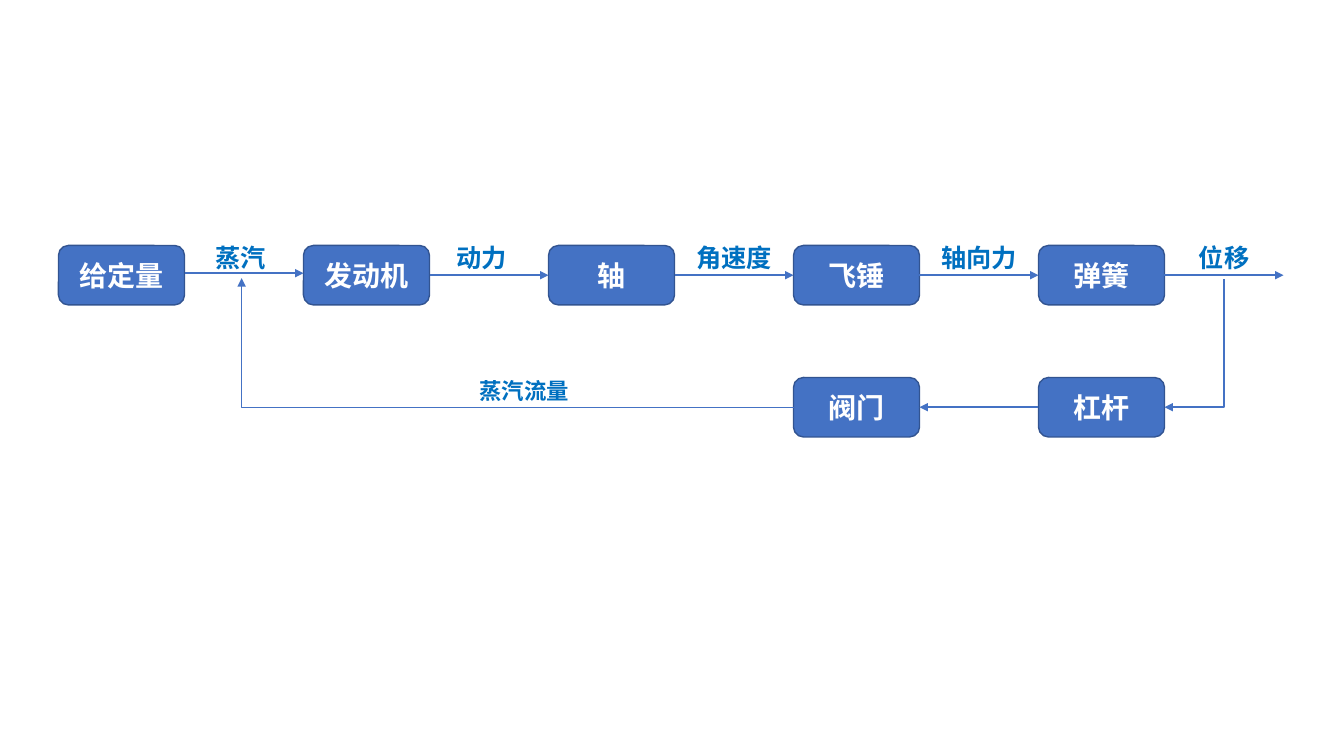
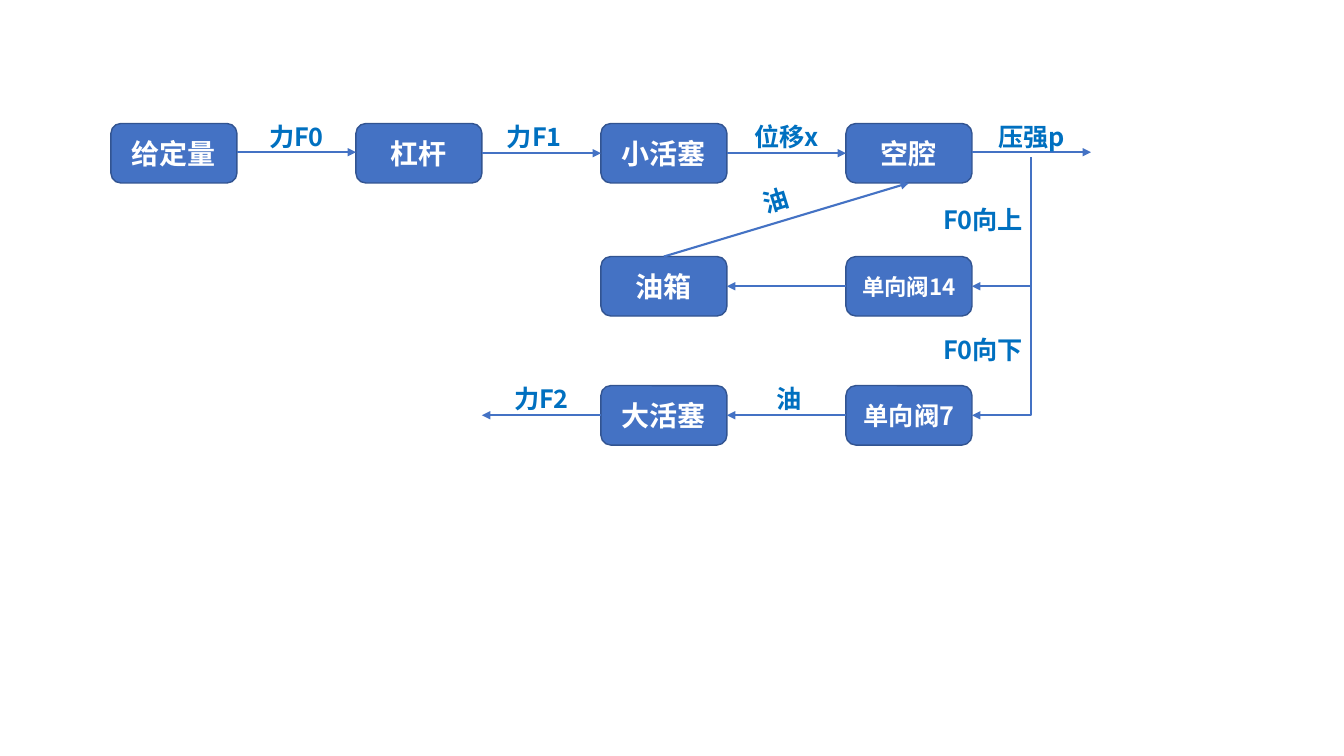
from dataclasses import dataclass, field

from pptx import Presentation
from pptx import util as u
from pptx.dml.color import RGBColor
from pptx.enum import shapes, text
from pptx.oxml.ns import qn
from lxml import etree

FONT = "Noto Sans CJK SC"
BLUE, EDGE, LABEL, WHITE = "4472C4", "325491", "0070C0", "FFFFFF"
BOX_W, BOX_H, GAP = 1.25, 0.59, 1.18
PITCH = BOX_W + GAP
LABEL_H, LABEL_RISE = 0.4, 0.37


@dataclass
class Box:
    text: str
    col: int
    row: int
    size: int = 20


@dataclass
class Label:
    text: str
    gap: int
    row: int
    dx: float = 0
    dy: float = -LABEL_RISE
    size: int = 18
    turn: float = 0


@dataclass
class Arrow:
    gap: int
    row: int
    back: bool = False
    dy: float = 0


@dataclass
class Link:
    start: tuple[float, float]
    end: tuple[float, float]
    turn: int | None = None
    weight: float = 1.5


@dataclass
class Grid:
    left: float
    rows: list[float]

    def box_x(self, col: int) -> float:
        return self.left + col * PITCH

    def gap_x(self, gap: int, share: float = 0) -> float:
        return self.box_x(gap) + BOX_W + share * GAP


@dataclass
class Diagram:
    grid: Grid
    boxes: list[Box]
    arrows: list[Arrow]
    labels: list[Label]
    links: list[Link] = field(default_factory=list)


def rgb(value: str) -> RGBColor:
    return RGBColor.from_string(value)


def write(sp, value: str, *, size: int, color: str, anchor) -> None:
    tf = sp.text_frame
    tf.word_wrap = True
    tf.vertical_anchor = anchor
    p = tf.paragraphs[0]
    p.alignment = text.PP_ALIGN.CENTER
    r = p.add_run()
    r.text = value
    r.font.name, r.font.size, r.font.bold = FONT, u.Pt(size), True
    r.font.color.rgb = rgb(color)
    etree.SubElement(r.font._element, qn("a:ea"), typeface=FONT)


def draw_box(s, grid: Grid, box: Box) -> None:
    sp = s.shapes.add_shape(
        shapes.MSO_SHAPE.ROUNDED_RECTANGLE,
        u.Inches(grid.box_x(box.col)), u.Inches(grid.rows[box.row] - BOX_H / 2),
        u.Inches(BOX_W), u.Inches(BOX_H))
    sp.shadow.inherit = False
    sp.fill.solid()
    sp.fill.fore_color.rgb = rgb(BLUE)
    sp.line.color.rgb = rgb(EDGE)
    sp.line.width = u.Pt(1)
    write(sp, box.text, size=box.size, color=WHITE, anchor=text.MSO_ANCHOR.MIDDLE)


def draw_label(s, grid: Grid, label: Label) -> None:
    sp = s.shapes.add_textbox(
        u.Inches(grid.gap_x(label.gap) + label.dx),
        u.Inches(grid.rows[label.row] + label.dy),
        u.Inches(GAP), u.Inches(LABEL_H))
    sp.rotation = label.turn
    write(sp, label.text, size=label.size, color=LABEL, anchor=text.MSO_ANCHOR.TOP)


def draw_link(s, link: Link) -> None:
    (x1, y1), (x2, y2) = link.start, link.end
    if link.turn is not None:
        cx, cy = (x1 + x2) / 2, (y1 + y2) / 2
        w, h = abs(x2 - x1), abs(y2 - y1)
        if link.turn % 180:
            w, h = h, w
        x1, y1, x2, y2 = cx - w / 2, cy - h / 2, cx + w / 2, cy + h / 2
    sp = s.shapes.add_connector(
        shapes.MSO_CONNECTOR.STRAIGHT, *map(u.Inches, (x1, y1, x2, y2)))
    sp.line.color.rgb = rgb(BLUE)
    sp.line.width = u.Pt(link.weight)
    props = sp._element.spPr
    if link.turn is not None:
        props.find(qn("a:prstGeom")).set("prst", "bentConnector2")
        props.find(qn("a:xfrm")).set("rot", str(link.turn * 60000))
    etree.SubElement(props.find(qn("a:ln")), qn("a:tailEnd"), type="triangle")
    etree.SubElement(props, qn("a:effectLst"))


def draw_arrow(s, grid: Grid, arrow: Arrow) -> None:
    y = grid.rows[arrow.row] + arrow.dy
    ends = [(grid.gap_x(arrow.gap), y), (grid.gap_x(arrow.gap, 1), y)]
    if arrow.back:
        ends.reverse()
    draw_link(s, Link(*ends))


def draw_diagram(prs, diagram: Diagram) -> None:
    s = prs.slides.add_slide(prs.slide_layouts[6])
    for box in diagram.boxes:
        draw_box(s, diagram.grid, box)
    for arrow in diagram.arrows:
        draw_arrow(s, diagram.grid, arrow)
    for link in diagram.links:
        draw_link(s, link)
    for label in diagram.labels:
        draw_label(s, diagram.grid, label)


def governor() -> Diagram:
    grid = Grid(0.58, [2.73, 4.04])
    top, bottom = grid.rows
    names = ["给定量", "发动机", "轴", "飞锤", "弹簧"]
    return Diagram(
        grid,
        [Box(name, col, 0) for col, name in enumerate(names)]
        + [Box("阀门", 3, 1), Box("杠杆", 4, 1)],
        [Arrow(0, 0, dy=-0.02)] + [Arrow(gap, 0) for gap in range(1, 5)]
        + [Arrow(3, 1, back=True)],
        [Label("蒸汽", 0, 0, dx=-0.03, dy=-0.38), Label("动力", 1, 0, dx=-0.07),
         Label("角速度", 2, 0), Label("轴向力", 3, 0), Label("位移", 4, 0),
         Label("蒸汽流量", 1, 1, dx=0.35, dy=-0.35, size=16)],
        [Link((grid.gap_x(4, 0.5), top + 0.04), (grid.gap_x(4), bottom), 90),
         Link((grid.box_x(3), bottom), (grid.gap_x(0, 0.48), top + 0.03), 180, 0.5)])


def hydraulic_jack() -> Diagram:
    grid = Grid(1.1, [1.52, 2.84, 4.12])
    top, middle, bottom = grid.rows
    names = ["给定量", "杠杆", "小活塞", "空腔"]
    branch = grid.gap_x(3, 0.5)
    return Diagram(
        grid,
        [Box(name, col, 0) for col, name in enumerate(names)]
        + [Box("油箱", 2, 1), Box("单向阀14", 3, 1, 16),
           Box("大活塞", 2, 2), Box("单向阀7", 3, 2, 18)],
        [Arrow(gap, 0, dy=dy) for gap, dy in enumerate([-0.01, 0, 0, -0.01])]
        + [Arrow(2, 1, back=True), Arrow(2, 2, back=True), Arrow(1, 2, back=True)],
        [Label("力F0", 0, 0), Label("力F1", 1, 0, dx=-0.07), Label("位移x", 2, 0),
         Label("压强p", 3, 0), Label("F0向上", 3, 0, dx=-0.48, dy=0.46),
         Label("F0向下", 3, 1, dx=-0.48, dy=0.43),
         Label("油", 2, 0, dx=-0.11, dy=0.27, turn=-17.1),
         Label("油", 2, 2, dx=0.03), Label("力F2", 1, 2)],
        [Link((branch, top + 0.04), (grid.gap_x(3), middle), 90),
         Link((branch, middle), (grid.gap_x(3), bottom), 90),
         Link((grid.box_x(2) + BOX_W / 2, middle - BOX_H / 2),
              (grid.box_x(3) + BOX_W / 2, top + BOX_H / 2))])


def main() -> None:
    prs = Presentation()
    prs.slide_width, prs.slide_height = u.Inches(13.33), u.Inches(7.5)
    for diagram in (governor(), hydraulic_jack()):
        draw_diagram(prs, diagram)
    prs.save("out.pptx")


if __name__ == "__main__":
    main()
